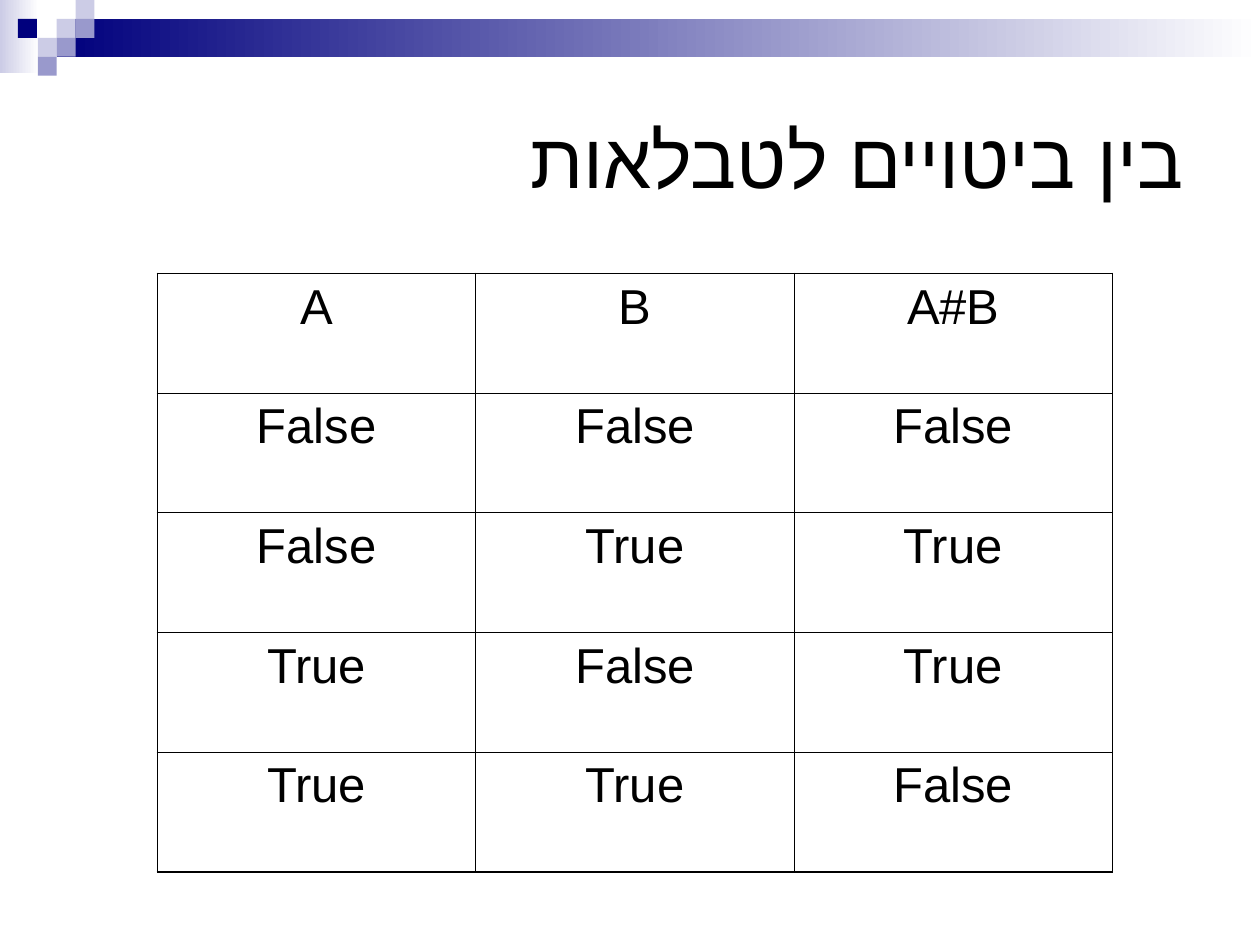
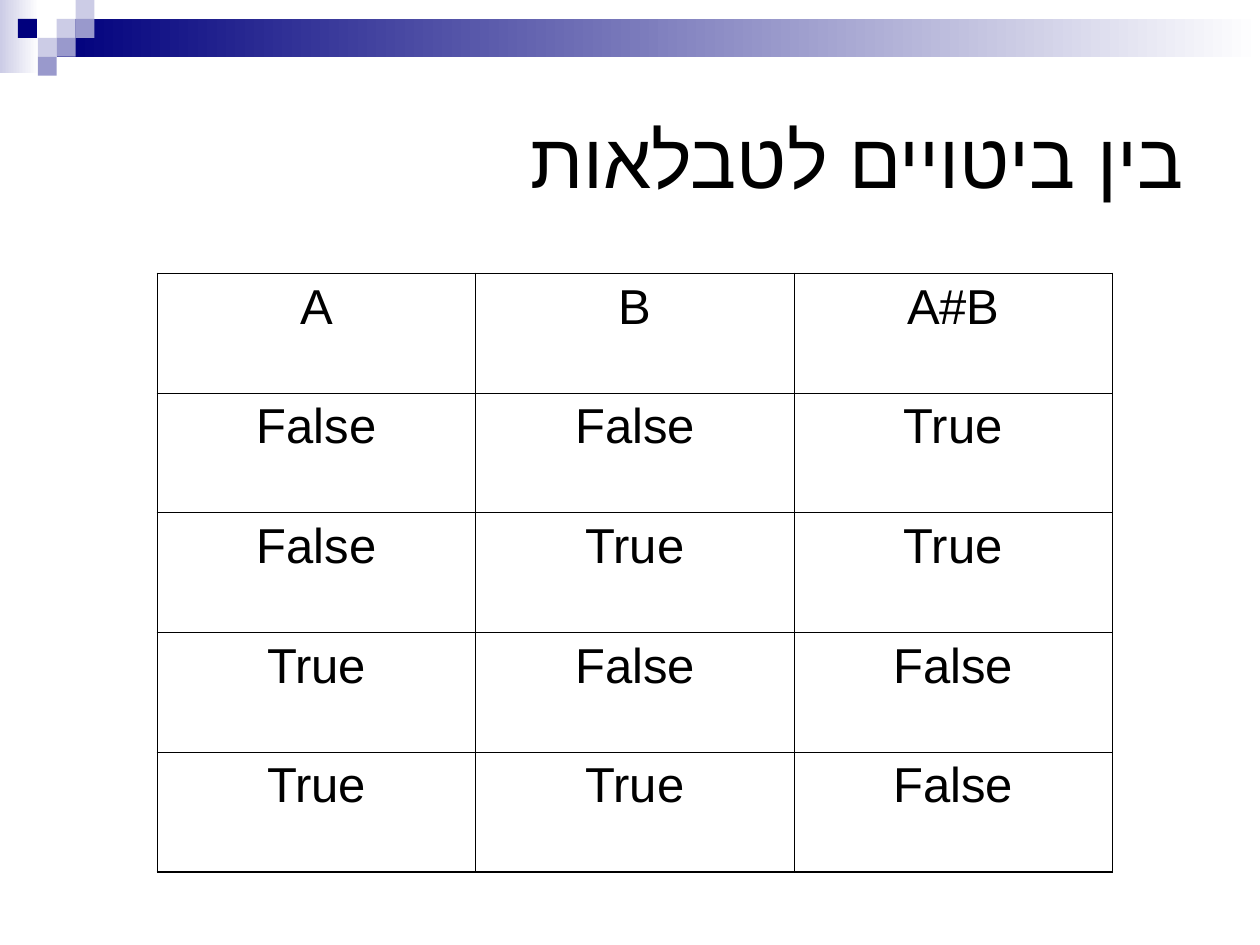
from lxml.etree import SubElement
from pptx import Presentation
from pptx.dml.color import RGBColor
from pptx.enum.shapes import MSO_SHAPE
from pptx.enum.text import MSO_ANCHOR, PP_ALIGN
from pptx.oxml.ns import qn
from pptx.util import Inches, Pt

BLACK = RGBColor(0x00, 0x00, 0x00)
WHITE = RGBColor(0xFF, 0xFF, 0xFF)
NAVY = RGBColor(0x00, 0x00, 0x7D)
LAVENDER = RGBColor(0xCC, 0xCC, 0xE6)
PERIWINKLE = RGBColor(0x99, 0x99, 0xCC)
FONT = "Arial"
TITLE = "בין ביטויים לטבלאות"
TITLE_BOX = (0.5, 0.5, 9, 1.5)
TABLE_BOX = (1.25, 2.17, 7.58, 4.75)
BAND_BOX = (0, 0, 10, 0.6)
SQUARE = 0.15
SQUARES = [(3, 1, LAVENDER), (4, 0, LAVENDER), (4, 1, PERIWINKLE), (2, 2, LAVENDER),
           (0.95, 1, NAVY), (3, 2, PERIWINKLE), (2, 3, PERIWINKLE)]
THIN, THICK = Pt(0.45), Pt(1.08)
INPUTS = [(False, False), (False, True), (True, False), (True, True)]
TRUTH_RESULTS = [(False, True, True, False), (True, True, False, False)]


def add_rectangle(group, left, top, width, height, *colours):
    """Add a borderless rectangle, solid for one colour or fading left to right for two."""
    shape = group.shapes.add_shape(
        MSO_SHAPE.RECTANGLE, Inches(left), Inches(top), Inches(width), Inches(height))
    shape.shadow.inherit = False
    shape.line.fill.background()
    if len(colours) == 1:
        shape.fill.solid()
        shape.fill.fore_color.rgb = colours[0]
    else:
        shape.fill.gradient()
        shape.fill.gradient_angle = 180
        for stop, colour in zip(shape.fill.gradient_stops, reversed(colours)):
            stop.color.rgb = colour


def add_band(slide, layout, box):
    """Draw the top band and its squares, then move them to the shared layout."""
    left, top, width, height = box
    group = slide.shapes.add_group_shape()
    band_left = 3 * SQUARE
    add_rectangle(group, left, top, 0.31, 0.58, LAVENDER, WHITE)
    add_rectangle(group, left + band_left, top + SQUARE,
                  width - band_left, 2 * SQUARE, NAVY, WHITE)
    for column, row, colour in SQUARES:
        add_rectangle(group, left + column * SQUARE, top + row * SQUARE,
                      SQUARE, SQUARE, colour)
    layout.shapes.element.insert(2, group.element)


def add_text(paragraph, text, size):
    """Add one black run and return it."""
    run = paragraph.add_run()
    run.text = text
    run.font.name = FONT
    run.font.size = Pt(size)
    run.font.color.rgb = BLACK
    return run


def fill_title(slide, box):
    """Place the right-to-left title in its placeholder."""
    title = slide.shapes.title
    title.left, title.top, title.width, title.height = map(Inches, box)
    title.text_frame.vertical_anchor = MSO_ANCHOR.MIDDLE
    paragraph = title.text_frame.paragraphs[0]
    paragraph.alignment = PP_ALIGN.RIGHT
    paragraph._p.get_or_add_pPr().set("rtl", "1")
    run = add_text(paragraph, TITLE, 44)
    SubElement(run.font._element, qn("a:cs"), typeface=FONT)


def set_borders(cell, widths):
    """Give the left, right, top and bottom edges of a cell black lines."""
    properties = cell._tc.get_or_add_tcPr()
    for edge, width in zip(("a:lnL", "a:lnR", "a:lnT", "a:lnB"), widths):
        line = SubElement(properties, qn(edge), w=str(width))
        fill = SubElement(line, qn("a:solidFill"))
        SubElement(fill, qn("a:srgbClr"), val=str(BLACK))


def add_truth_table(slide, box, results):
    """Add the truth table of A#B with a heavier outer frame."""
    rows = [("A", "B", "A#B")]
    rows += [(*inputs, result) for inputs, result in zip(INPUTS, results)]
    last_row, last_column = len(rows) - 1, len(rows[0]) - 1
    table = slide.shapes.add_table(len(rows), len(rows[0]), *map(Inches, box)).table
    table.first_row = table.horz_banding = False
    for row, values in enumerate(rows):
        for column, value in enumerate(values):
            cell = table.cell(row, column)
            outer_edges = (column == 0, column == last_column, row == 0, row == last_row)
            set_borders(cell, [THICK if outer else THIN for outer in outer_edges])
            cell.fill.background()
            paragraph = cell.text_frame.paragraphs[0]
            paragraph.alignment = PP_ALIGN.CENTER
            paragraph.space_before = Pt(7)
            add_text(paragraph, str(value), 28)


def main():
    """Build and save the presentation."""
    presentation = Presentation()
    presentation.slide_width, presentation.slide_height = Inches(10), Inches(7.5)
    layout = presentation.slide_layouts.get_by_name("Title Only")
    slides = [presentation.slides.add_slide(layout) for _ in TRUTH_RESULTS]
    add_band(slides[0], layout, BAND_BOX)
    for slide, results in zip(slides, TRUTH_RESULTS):
        fill_title(slide, TITLE_BOX)
        add_truth_table(slide, TABLE_BOX, results)
    presentation.save("out.pptx")


if __name__ == "__main__":
    main()
